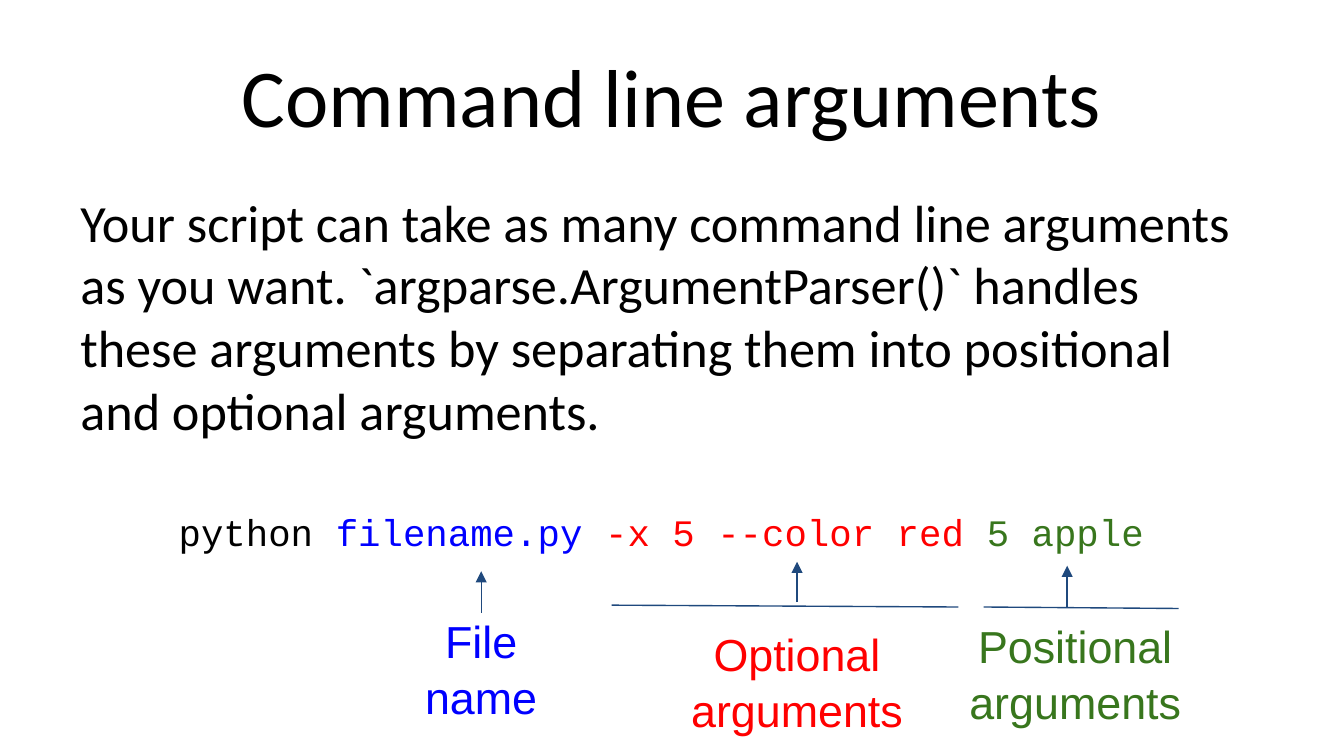
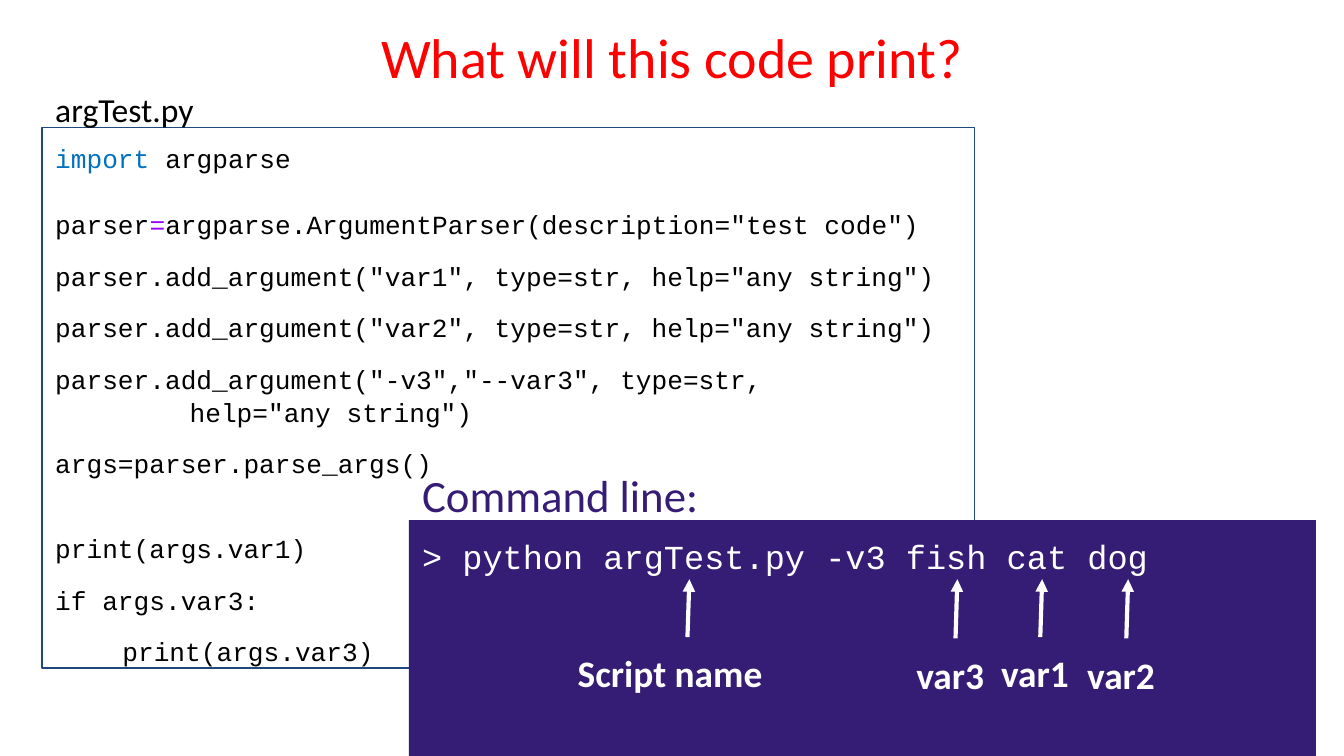
import pptx
import pptx.dml.color
import pptx.enum.shapes
import pptx.enum.text
import pptx.oxml.ns
import pptx.util
from lxml import etree

Pt = pptx.util.Pt
RGB = pptx.dml.color.RGBColor
ALIGN = pptx.enum.text.PP_ALIGN
ANCHOR = pptx.enum.text.MSO_ANCHOR
RECTANGLE = pptx.enum.shapes.MSO_SHAPE.RECTANGLE

# Shared colours and fonts
BLACK = RGB(0x00, 0x00, 0x00)
WHITE = RGB(0xFF, 0xFF, 0xFF)
BLUE = RGB(0x00, 0x00, 0xFF)
RED = RGB(0xFF, 0x00, 0x00)
GREEN = RGB(0x38, 0x76, 0x1D)
NAVY = RGB(0x1F, 0x49, 0x7D)
KEYWORD = RGB(0x00, 0x70, 0xC0)
OPERATOR = RGB(0x99, 0x00, 0xFF)
PURPLE = RGB(0x35, 0x1C, 0x75)
SANS, LABEL, MONO = "Calibri", "Arial", "Courier New"


def put_text(shape, paragraphs, font, size, align=ALIGN.LEFT, bold=False, spacing=None):
    """Fill a shape with paragraphs, each a list of (text, colour) runs."""
    frame = shape.text_frame
    frame.word_wrap = True
    frame.vertical_anchor = ANCHOR.TOP
    frame.margin_left = frame.margin_right = Pt(7.2)
    frame.margin_top = frame.margin_bottom = Pt(7.2)
    for number, runs in enumerate(paragraphs):
        paragraph = frame.add_paragraph() if number else frame.paragraphs[0]
        paragraph.alignment = align
        if spacing:
            paragraph.line_spacing = spacing
        for text, colour in runs:
            run = paragraph.add_run()
            run.text = text
            run.font.name = font
            run.font.size = Pt(size)
            run.font.bold = bold
            run.font.color.rgb = colour
    return frame


def add_line(slide, start, end, colour, width, arrow=False):
    line = slide.shapes.add_connector(
        pptx.enum.shapes.MSO_CONNECTOR.STRAIGHT, *map(Pt, start + end))
    line.line.color.rgb = colour
    line.line.width = Pt(width)
    if arrow:
        outline = line.line._get_or_add_ln()
        etree.SubElement(outline, pptx.oxml.ns.qn("a:tailEnd"), type="triangle")
    etree.SubElement(line._element.spPr, pptx.oxml.ns.qn("a:effectLst"))
    return line


deck = pptx.Presentation()
deck.slide_width, deck.slide_height = Pt(720), Pt(405)

# Slides and their titles
slides = []
for title, top, size, colour, anchor in (
    ("Command line arguments", 16.56, 44, BLACK, ANCHOR.BOTTOM),
    ("What will this code print?", 5.04, 30, RED, ANCHOR.TOP),
):
    slide = deck.slides.add_slide(deck.slide_layouts[6])
    title_box = slide.shapes.add_textbox(Pt(36), Pt(top), Pt(648), Pt(67.5))
    put_text(title_box, [[(title, colour)]], SANS, size, ALIGN.CENTER).vertical_anchor = anchor
    slides.append(slide)
arguments_slide, quiz_slide = slides

# Slide 1: explanation
explanation = arguments_slide.shapes.add_textbox(Pt(36), Pt(94.5), Pt(648), Pt(150))
put_text(explanation, [[(
    "Your script can take as many command line arguments as you want. "
    "`argparse.ArgumentParser()` handles these arguments by separating them "
    "into positional and optional arguments.", BLACK)]], SANS, 28)

# Slide 1: coloured command
command = arguments_slide.shapes.add_textbox(Pt(65.5), Pt(261.5), Pt(577.5), Pt(34))
command_frame = put_text(command, [[
    ("python ", BLACK), ("filename.py ", BLUE),
    ("-x 5 --color red ", RED), ("5 apple", GREEN)]], MONO, 20, ALIGN.CENTER)
command_frame.margin_top = Pt(11.2)

# Slide 1: arrows up to the parts of the command, and brackets under them
for x, bottom, top in ((257.8, 328.3, 306), (571.7, 325.4, 303.1), (427, 322.6, 301)):
    add_line(arguments_slide, (x, bottom), (x, top), NAVY, 0.75, arrow=True)
for start, end in (((513.4, 325.2), (327.6, 324.2)), ((631.4, 326), (527, 325.2))):
    add_line(arguments_slide, start, end, NAVY, 0.75)

# Slide 1: names of the parts
for lines, left, top, colour in (
    (("File", "name"), 174.24, 320.4, BLUE),
    (("Optional arguments",), 343.44, 327.6, RED),
    (("Positional arguments",), 492.48, 323.3, GREEN),
):
    part_name = arguments_slide.shapes.add_textbox(Pt(left), Pt(top), Pt(167), Pt(44.6))
    put_text(part_name, [[(line, colour)] for line in lines],
             LABEL, 24, ALIGN.CENTER, spacing=1.04)

# Slide 2: code listing, each line with its space before, indent and runs
code_lines = (
    (0, 0, [("import", KEYWORD), (" argparse", BLACK)]),
    (17.7, 0, [("parser", BLACK), ("=", OPERATOR),
               ('argparse.ArgumentParser(description="test code")', BLACK)]),
    (10, 0, [('parser.add_argument("var1", type=str, help="any string")', BLACK)]),
    (10, 0, [('parser.add_argument("var2", type=str, help="any string")', BLACK)]),
    (10, 0, [('parser.add_argument("-v3","--var3", type=str,', BLACK)]),
    (0, 72, [('help="any string")', BLACK)]),
    (10, 0, [("args=parser.parse_args()", BLACK)]),
    (27.8, 0, [("print(args.var1)", BLACK)]),
    (10, 0, [("if args.var3:", BLACK)]),
    (10, 36, [("print(args.var3)", BLACK)]),
)
listing = quiz_slide.shapes.add_shape(RECTANGLE, Pt(22.5), Pt(68.4), Pt(499.5), Pt(289.5))
listing.shadow.inherit = False
listing.fill.background()
listing.line.color.rgb = NAVY
listing.line.width = Pt(0.75)
listing_frame = put_text(listing, [runs for _, _, runs in code_lines], MONO, 14, spacing=1.05)
for paragraph, (before, indent, _) in zip(listing_frame.paragraphs, code_lines):
    if before:
        paragraph.space_before = Pt(before)
    if indent:
        paragraph._p.get_or_add_pPr().set("marL", str(Pt(indent)))

# Slide 2: file name above the listing
file_name = quiz_slide.shapes.add_textbox(Pt(22.5), Pt(44), Pt(92), Pt(21.6))
put_text(file_name, [[("argTest.py", BLACK)]], SANS, 18).margin_top = Pt(3.6)

# Slide 2: terminal with its heading
terminal = quiz_slide.shapes.add_shape(RECTANGLE, Pt(219), Pt(278.7), Pt(486), Pt(126.3))
terminal.shadow.inherit = False
terminal.fill.solid()
terminal.fill.fore_color.rgb = PURPLE
terminal.line.fill.background()
put_text(terminal, [[("> python argTest.py -v3 fish cat dog", WHITE)]],
         MONO, 18, spacing=1.05)
terminal_heading = quiz_slide.shapes.add_textbox(Pt(219), Pt(243.4), Pt(300), Pt(41))
put_text(terminal_heading, [[("Command line:", PURPLE)]], SANS, 24)

# Slide 2: argument names, each with an arrow up to its word
for name, left, top, width in (
    ("Script name", 302.4, 341.3, 131.8),
    ("var3", 483.8, 342, 56.2),
    ("var1", 529.2, 341.3, 56.2),
    ("var2", 575.3, 342, 56.2),
):
    argument = quiz_slide.shapes.add_textbox(Pt(left), Pt(top), Pt(width), Pt(46))
    put_text(argument, [[(name, WHITE)]], SANS, 20, bold=True)
    middle = left + width / 2
    arrow = add_line(quiz_slide, (middle, top), (middle + 1, 310.3), WHITE, 2.25, arrow=True)
    arrow.begin_connect(argument, 0)

deck.save("out.pptx")
